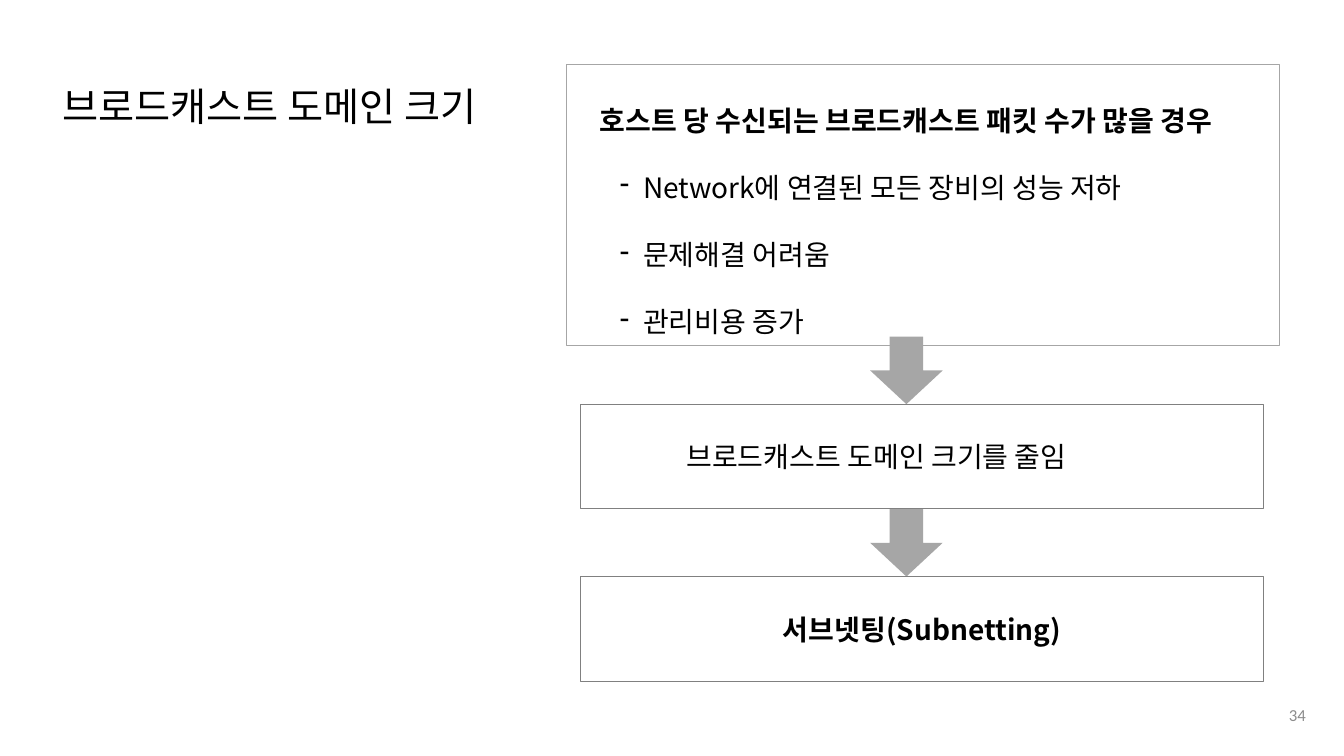
from lxml import etree
from pptx import Presentation
from pptx.dml.color import RGBColor
from pptx.enum import shapes, text
from pptx.oxml import ns
from pptx.util import Inches, Pt

BLACK = RGBColor(0, 0, 0)
GRAY = RGBColor(0xA6, 0xA6, 0xA6)
EDGE = RGBColor(0x80, 0x80, 0x80)
PALE = RGBColor(0x8C, 0x8C, 0x8C)
KOREAN = "Noto Sans CJK KR"
MID = text.MSO_ANCHOR.MIDDLE
LEFT, CENTER, RIGHT = (text.PP_ALIGN.LEFT, text.PP_ALIGN.CENTER,
                       text.PP_ALIGN.RIGHT)


def style(para, size=20, bold=False, color=BLACK, face=KOREAN, align=LEFT):
    para.alignment = align
    for run in para.runs:
        font = run.font
        font.size, font.bold, font.name = Pt(size), bold, face
        font.color.rgb = color
        east = etree.SubElement(run._r.get_or_add_rPr(), ns.qn("a:ea"))
        east.set("typeface", face)


def indent(para, left, hang=0, mark=None):
    """Indent a paragraph in inches, with an optional hanging mark."""
    props = para._p.get_or_add_pPr()
    props.set("marL", str(Inches(left)))
    props.set("indent", str(Inches(-hang)))
    if mark:
        etree.SubElement(props, ns.qn("a:buChar")).set("char", mark)


def label(slide, box, words, **look):
    frame = slide.shapes.add_textbox(*map(Inches, box)).text_frame
    frame.word_wrap = True
    frame.vertical_anchor = MID
    frame.text = words
    style(frame.paragraphs[0], **look)
    return frame.paragraphs[0]


def panel(slide, box, edge, words, anchor=MID, **look):
    """Draw an outlined box and return its paragraphs."""
    rect = slide.shapes.add_shape(shapes.MSO_SHAPE.RECTANGLE,
                                  *map(Inches, box))
    rect.shadow.inherit = False
    rect.fill.background()
    rect.line.color.rgb = edge
    rect.line.width = Pt(0.75)
    frame = rect.text_frame
    frame.word_wrap = True
    frame.vertical_anchor = anchor
    frame.text = words
    for para in frame.paragraphs:
        style(para, **look)
    return frame.paragraphs


def causes(slide, box):
    head, *items = panel(slide, box, GRAY, "\n".join([
        "호스트 당 수신되는 브로드캐스트 패킷 수가 많을 경우",
        "Network에 연결된 모든 장비의 성능 저하",
        "문제해결 어려움",
        "관리비용 증가",
    ]), anchor=text.MSO_ANCHOR.TOP)
    style(head, bold=True)
    indent(head, 0.23)
    head.line_spacing = 2.0
    for item in items:
        item.line_spacing = 2.0
        indent(item, 0.66, 0.23, "-")


def arrow(slide, box):
    shape = slide.shapes.add_shape(shapes.MSO_SHAPE.DOWN_ARROW,
                                   *map(Inches, box))
    shape.shadow.inherit = False
    shape.adjustments[0] = 0.46
    shape.adjustments[1] = 0.5
    shape.fill.solid()
    shape.fill.fore_color.rgb = GRAY
    shape.line.fill.background()


def steps(slide, left, top, width):
    """Stack the two steps, each with an arrow leading into it."""
    high, gap, wide = 1.04, 0.67, 0.72
    rows = [("브로드캐스트 도메인 크기를 줄임", False, LEFT),
            ("서브넷팅(Subnetting)", True, CENTER)]
    for i, (words, bold, align) in enumerate(rows):
        y = top + i * (high + gap)
        arrow(slide, (left + 2.87, y, wide, gap))
        para, = panel(slide, (left, y + gap, width, high), EDGE, words,
                      bold=bold, align=align)
        if align == LEFT:
            indent(para, 0.95)


def main():
    deck = Presentation()
    deck.slide_width, deck.slide_height = Inches(13.33), Inches(7.5)
    slide = deck.slides.add_slide(deck.slide_layouts[6])
    title = label(slide, (0.52, 0.64, 8.62, 0.87),
                  "브로드캐스트 도메인 크기", size=28)
    title.line_spacing = 0.9
    label(slide, (10.05, 6.89, 3, 0.4), "34", size=12, color=PALE,
          face="Calibri", align=RIGHT)
    causes(slide, (5.62, 0.64, 7.07, 2.79))
    steps(slide, 5.76, 3.34, 6.77)
    deck.save("out.pptx")


if __name__ == "__main__":
    main()
